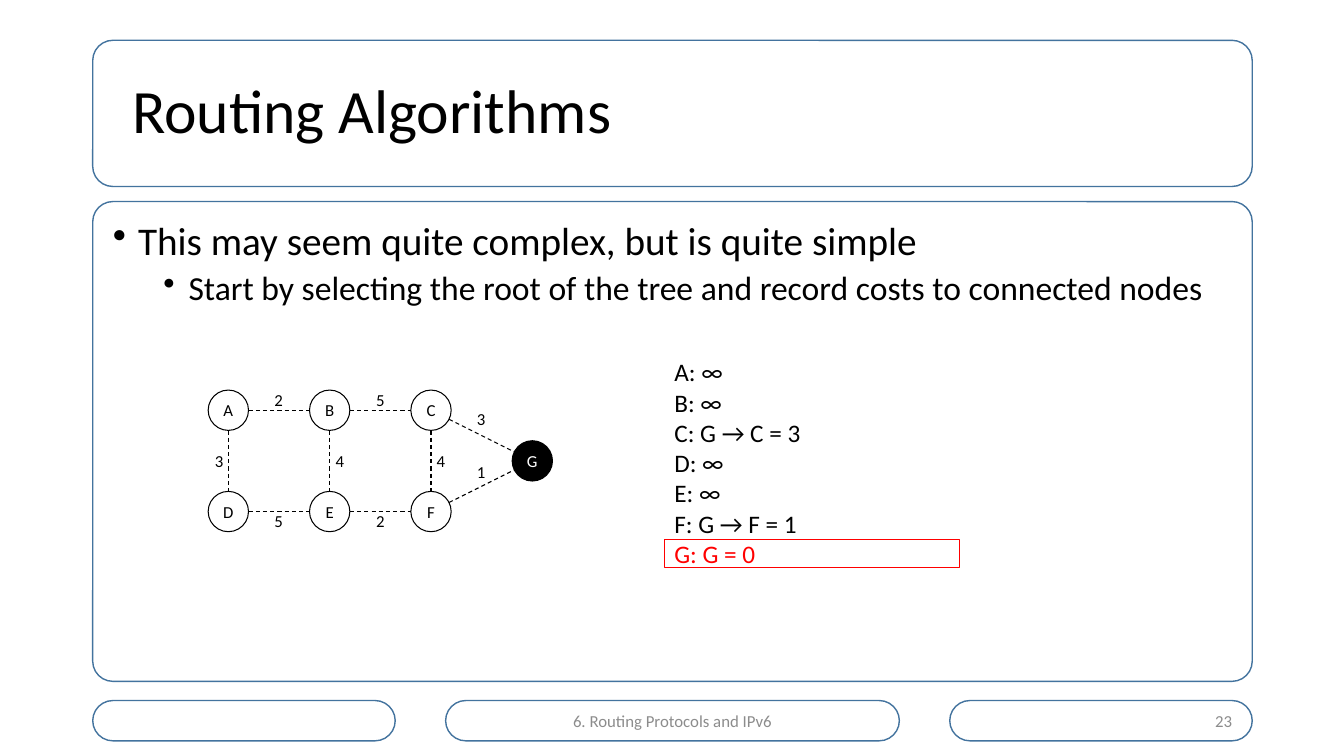
import math

from pptx import Presentation
from pptx import util as u
from pptx.dml.color import RGBColor
from pptx.enum import dml, shapes, text
from pptx.oxml.ns import qn
from lxml import etree

COLORS = {"white": "FFFFFF", "black": "000000", "frame": "43739E",
          "footer": "8C8C8C", "red": "FF0000"}
INCH = u.Inches
LEFT, MIDDLE, RIGHT = text.PP_ALIGN.LEFT, text.PP_ALIGN.CENTER, text.PP_ALIGN.RIGHT

prs = Presentation()
prs.slide_width, prs.slide_height = INCH(13.33), INCH(7.5)
slide = prs.slides.add_slide(prs.slide_layouts[6])


def add_figure(preset, left, top, width, height, line, weight, fill=None):
    figure = slide.shapes.add_shape(preset, INCH(left), INCH(top), INCH(width), INCH(height))
    figure.shadow.inherit = False
    if fill:
        figure.fill.solid()
        figure.fill.fore_color.rgb = RGBColor.from_string(COLORS[fill])
    else:
        figure.fill.background()
    figure.line.color.rgb = RGBColor.from_string(COLORS[line])
    figure.line.width = u.Pt(weight)
    return figure


def write(content, at=None, holder=None, size=12, color="black", align=LEFT,
          inset=(0, 0), middle=False, spacing=1.0):
    """Write lines into holder, or into a new text box placed at (left, top, width, height)."""
    holder = holder or slide.shapes.add_textbox(*map(INCH, at))
    frame = holder.text_frame
    frame.word_wrap = True
    frame.margin_left = frame.margin_right = INCH(inset[0])
    frame.margin_top = frame.margin_bottom = INCH(inset[1])
    frame.vertical_anchor = text.MSO_ANCHOR.MIDDLE if middle else text.MSO_ANCHOR.TOP
    for i, line in enumerate(content.split("\n")):
        paragraph = frame.paragraphs[0] if i == 0 else frame.add_paragraph()
        paragraph.alignment = align
        paragraph.line_spacing = spacing
        run = paragraph.add_run()
        run.text = line
        run.font.name = "Calibri"
        run.font.size = u.Pt(size)
        run.font.color.rgb = RGBColor.from_string(COLORS[color])
    return frame


# Frames: title, body and the three footer fields
title_area = (0.92, 0.4, 11.5, 1.45)
body_area = (0.92, 2, 11.5, 4.76)
date_area = (0.92, 6.95, 3, 0.4)
footer_area = (4.42, 6.95, 4.5, 0.4)
number_area = (9.42, 6.95, 3, 0.4)
for area in (title_area, body_area, date_area, footer_area, number_area):
    panel = add_figure(shapes.MSO_SHAPE.ROUNDED_RECTANGLE, *area, "frame", 1, "white")
    panel.adjustments[0] = 0.2 / area[3]

write("Routing Algorithms", title_area, size=44, inset=(0.39, 0.2), middle=True, spacing=0.9)
write("6. Routing Protocols and IPv6", footer_area, color="footer", align=MIDDLE,
      inset=(0.2, 0.05), middle=True)
write("23", number_area, color="footer", align=RIGHT, inset=(0.2, 0.05), middle=True)

points = write("This may seem quite complex, but is quite simple\n"
               "Start by selecting the root of the tree and record costs to connected nodes",
               body_area, size=28, inset=(0.2, 0.2), spacing=0.9).paragraphs
for level, point in enumerate(points):
    point.level = level
    properties = point._p.get_or_add_pPr()
    properties.set("marL", str(INCH(0.25 + 0.5 * level)))
    properties.set("indent", str(INCH(-0.25)))
    etree.SubElement(properties, qn("a:buChar")).set("char", "•")
points[1].space_before = u.Pt(5)
points[1].runs[0].font.size = u.Pt(24)

# Network graph: node centres on a grid, G halfway between the rows
RADIUS, STEP = 0.2, 1.005
X0, Y0 = 2.265, 4.07
centres = {name: (X0 + STEP * column, Y0 + STEP * row)
           for row, names in enumerate(("ABC", "DEF"))
           for column, name in enumerate(names)}
centres["G"] = (X0 + 3 * STEP, Y0 + STEP / 2)

for name, (x, y) in centres.items():
    is_root = name == "G"
    node = add_figure(shapes.MSO_SHAPE.OVAL, x - RADIUS, y - RADIUS, 2 * RADIUS, 2 * RADIUS,
                      "black", 0.75, "black" if is_root else "white")
    write(name, holder=node, color="white" if is_root else "black", align=MIDDLE, middle=True)

# Each link: its ends, cost, and the top left corner of the cost label
links = [("AB", "2", 2.72, 3.87), ("BC", "5", 3.73, 3.87),
         ("DE", "5", 2.72, 5.07), ("EF", "2", 3.73, 5.07),
         ("AD", "3", 2.13, 4.47), ("BE", "4", 3.33, 4.47), ("CF", "4", 4.33, 4.47),
         ("CG", "3", 4.73, 4.05), ("FG", "1", 4.73, 4.58)]
for (start, end), cost, label_left, label_top in links:
    (x1, y1), (x2, y2) = centres[start], centres[end]
    length = math.dist((x1, y1), (x2, y2))
    dx, dy = RADIUS * (x2 - x1) / length, RADIUS * (y2 - y1) / length
    link = slide.shapes.add_connector(shapes.MSO_CONNECTOR.STRAIGHT, INCH(x1 + dx), INCH(y1 + dy),
                                      INCH(x2 - dx), INCH(y2 - dy))
    link.line.color.rgb = RGBColor.from_string(COLORS["black"])
    link.line.width = u.Pt(0.75)
    link.line.dash_style = dml.MSO_LINE.DASH
    etree.SubElement(link._element.spPr, qn("a:effectLst"))
    write(cost, (label_left, label_top, 0.19, 0.28))

# Costs from the root, with the selected node highlighted
costs = write("A: ∞\nB: ∞\nC: G → C = 3\nD: ∞\nE: ∞\nF: G → F = 1\nG: G = 0",
              (6.59, 3.49, 2.93, 2.22), size=18, inset=(0.1, 0.05))
costs.paragraphs[-1].runs[0].font.color.rgb = RGBColor.from_string(COLORS["red"])
add_figure(shapes.MSO_SHAPE.RECTANGLE, 6.59, 5.35, 2.93, 0.28, "red", 1)

prs.save("out.pptx")
